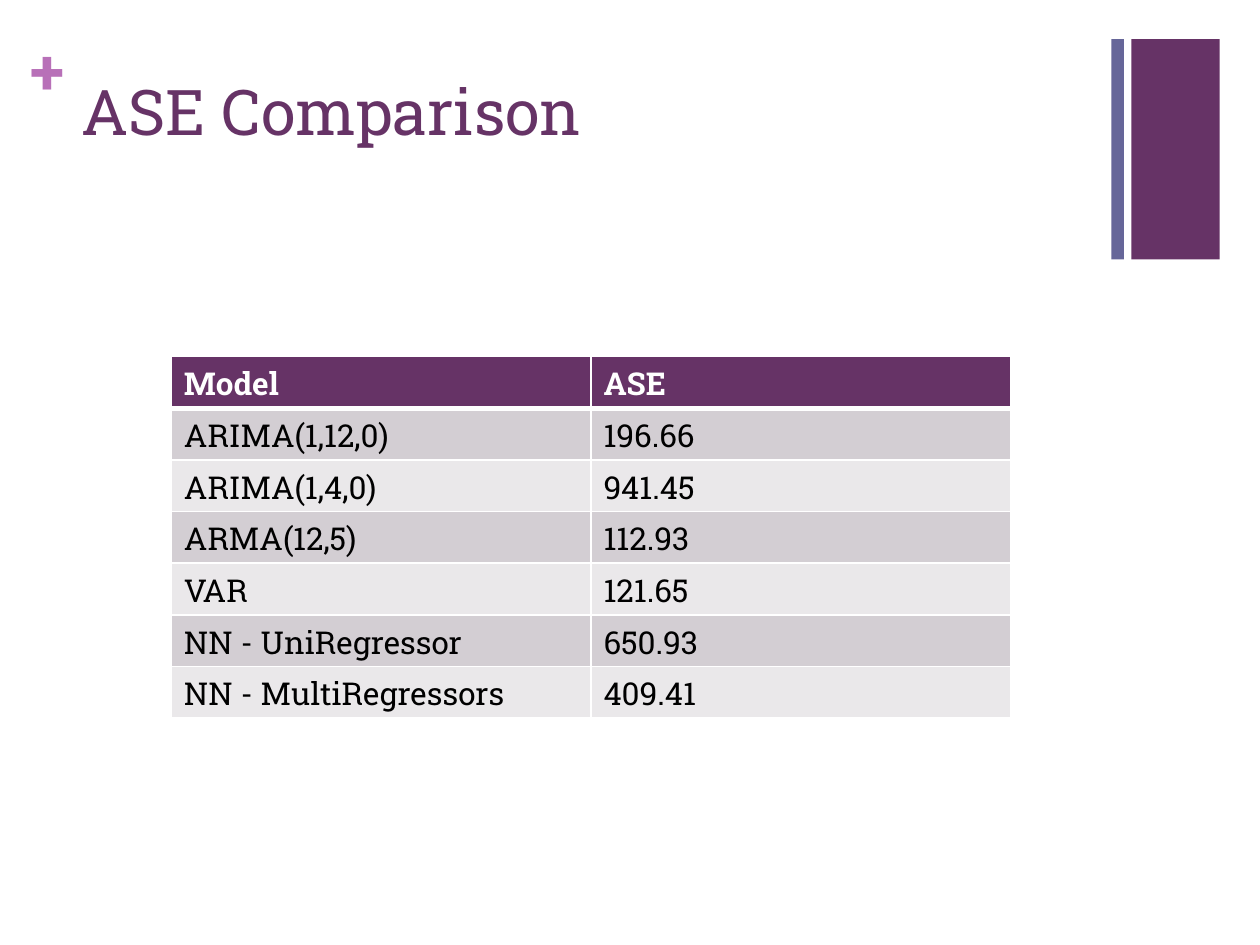
from lxml import etree
from pptx import Presentation
from pptx.dml.color import RGBColor
from pptx.enum import shapes, text
from pptx.oxml.ns import qn
from pptx.util import Inches, Pt

# Content
TITLE = "ASE Comparison"
ROWS = [
    ("Model", "ASE"),
    ("ARIMA(1,12,0)", "196.66"),
    ("ARIMA(1,4,0)", "941.45"),
    ("ARMA(12,5)", "112.93"),
    ("VAR", "121.65"),
    ("NN - UniRegressor", "650.93"),
    ("NN - MultiRegressors", "409.41"),
]
FONT = "Roboto Slab"
COLORS = {
    "purple": "663366", "slate": "666699", "orchid": "B870B8",
    "white": "FFFFFF", "black": "000000",
    "dark_band": "D3CED3", "light_band": "EAE8EA",
}
BARS = [("purple", 8.98, 0.7), ("slate", 8.82, 0.1)]  # colour, left, width
BAR_TOP, BAR_HEIGHT = 0.31, 1.75
TABLE_LEFT, TABLE_TOP, COLUMN_WIDTH, ROW_HEIGHT = 1.36, 2.83, 3.33, 0.41


def color(name):
    return RGBColor.from_string(COLORS[name])


def write(frame, words, size=18, ink="black", bold=False):
    span = frame.paragraphs[0].add_run()
    span.text = words
    span.font.name = FONT
    span.font.size = Pt(size)
    span.font.bold = bold
    span.font.color.rgb = color(ink)


def add_text(page, words, left, top, width, height, inset=None, **style):
    box = page.shapes.add_textbox(*map(Inches, (left, top, width, height)))
    frame = box.text_frame
    frame.word_wrap = True
    frame.vertical_anchor = text.MSO_ANCHOR.TOP
    if inset is not None:
        frame.margin_left = frame.margin_right = Inches(inset)
        frame.margin_top = frame.margin_bottom = Inches(inset)
    write(frame, words, **style)


def set_borders(cell, top, bottom):
    properties = cell._tc.get_or_add_tcPr()
    for side, width in (("L", 1), ("R", 1), ("T", top), ("B", bottom)):
        line = etree.SubElement(properties, qn(f"a:ln{side}"), w=str(Pt(width)))
        fill = etree.SubElement(line, qn("a:solidFill"))
        etree.SubElement(fill, qn("a:srgbClr"), val=COLORS["white"])


def add_comparison(page):
    count, columns = len(ROWS), len(ROWS[0])
    table = page.shapes.add_table(
        count, columns, Inches(TABLE_LEFT), Inches(TABLE_TOP),
        Inches(COLUMN_WIDTH * columns), Inches(ROW_HEIGHT * count)).table
    for column in table.columns:
        column.width = Inches(COLUMN_WIDTH)
    for index, values in enumerate(ROWS):
        table.rows[index].height = Inches(ROW_HEIGHT)
        header = index == 0
        band = "purple" if header else "dark_band" if index % 2 else "light_band"
        for cell, value in zip(table.rows[index].cells, values):
            # A thick rule separates the header from the body
            set_borders(cell, top=3 if index == 1 else 1, bottom=3 if header else 1)
            cell.fill.solid()
            cell.fill.fore_color.rgb = color(band)
            write(cell.text_frame, value, bold=header,
                  ink="white" if header else "black")


def main():
    deck = Presentation()
    deck.slide_width, deck.slide_height = Inches(10), Inches(7.5)
    page = deck.slides.add_slide(deck.slide_layouts[6])

    # Corner bars
    for name, left, width in BARS:
        bar = page.shapes.add_shape(
            shapes.MSO_SHAPE.RECTANGLE, Inches(left), Inches(BAR_TOP),
            Inches(width), Inches(BAR_HEIGHT))
        bar.shadow.inherit = False
        bar.fill.solid()
        bar.fill.fore_color.rgb = color(name)
        bar.line.fill.background()

    # Plus sign and title
    add_text(page, "+", 0.24, 0.25, 0.29, 0.61, inset=0,
             size=36, ink="orchid", bold=True)
    add_text(page, TITLE, 0.55, 0.53, 8.26, 1.22, size=36, ink="purple")

    # Model table
    add_comparison(page)
    deck.save("out.pptx")


if __name__ == "__main__":
    main()
